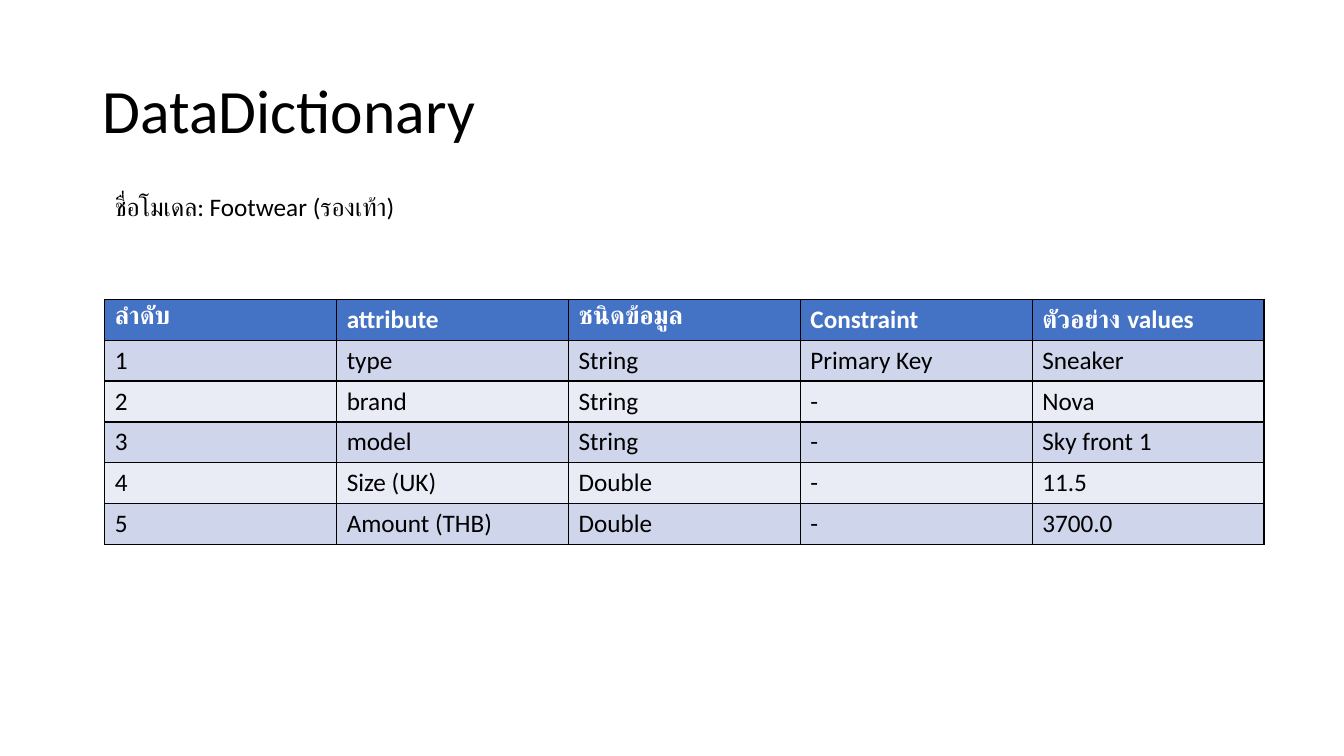
from lxml.etree import SubElement
from pptx import Presentation
from pptx.dml.color import RGBColor
from pptx.enum.text import MSO_ANCHOR, PP_ALIGN
from pptx.oxml.ns import qn
from pptx.util import Pt

BLACK = RGBColor(0x00, 0x00, 0x00)
WHITE = RGBColor(0xFF, 0xFF, 0xFF)
HEADER = RGBColor(0x44, 0x72, 0xC4)
BANDS = [RGBColor(0xE9, 0xEB, 0xF5), RGBColor(0xCF, 0xD5, 0xEA)]

ROWS = [
    ["ลำดับ", "attribute", "ชนิดข้อมูล", "Constraint", "ตัวอย่าง values"],
    ["1", "type", "String", "Primary Key", "Sneaker"],
    ["2", "brand", "String", "-", "Nova"],
    ["3", "model", "String", "-", "Sky front 1"],
    ["4", "Size (UK)", "Double", "-", "11.5"],
    ["5", "Amount (THB)", "Double", "-", "3700.0"],
]
COL_W, ROW_H = 165.6, 29.2


def write(tf, text, size=18, color=BLACK, bold=False, spacing=1.0):
    p = tf.paragraphs[0]
    p.alignment = PP_ALIGN.LEFT
    p.line_spacing = spacing
    r = p.add_run()
    r.text = text
    r.font.name = "Calibri"
    r.font.size = Pt(size)
    r.font.bold = bold
    r.font.color.rgb = color


def add_borders(cell):
    tcPr = cell._tc.get_or_add_tcPr()
    for side in ("a:lnL", "a:lnR", "a:lnT", "a:lnB"):
        ln = SubElement(tcPr, qn(side), w=str(Pt(1)))
        fill = SubElement(ln, qn("a:solidFill"))
        SubElement(fill, qn("a:srgbClr"), val=str(BLACK))


prs = Presentation()
prs.slide_width, prs.slide_height = Pt(960), Pt(540)
s = prs.slides.add_slide(prs.slide_layouts[5])

title = s.shapes.title
title.left, title.top, title.width, title.height = Pt(66), Pt(28.75), Pt(828), Pt(104.4)
title.text_frame.vertical_anchor = MSO_ANCHOR.MIDDLE
write(title.text_frame, "DataDictionary", size=44, spacing=0.9)

model_name = s.shapes.add_textbox(Pt(74.9), Pt(133.2), Pt(294.5), Pt(29.1))
model_name.text_frame.word_wrap = True
write(model_name.text_frame, "ชื่อโมเดล: Footwear (รองเท้า)")

table = s.shapes.add_table(
    len(ROWS), len(ROWS[0]), Pt(74.9), Pt(213.8),
    Pt(COL_W * len(ROWS[0])), Pt(ROW_H * len(ROWS))).table
for col in table.columns:
    col.width = Pt(COL_W)
for i, values in enumerate(ROWS):
    table.rows[i].height = Pt(ROW_H)
    is_header = i == 0
    for j, value in enumerate(values):
        cell = table.cell(i, j)
        add_borders(cell)
        cell.fill.solid()
        cell.fill.fore_color.rgb = HEADER if is_header else BANDS[i % 2]
        write(cell.text_frame, value, color=WHITE if is_header else BLACK, bold=is_header)

prs.save("out.pptx")
